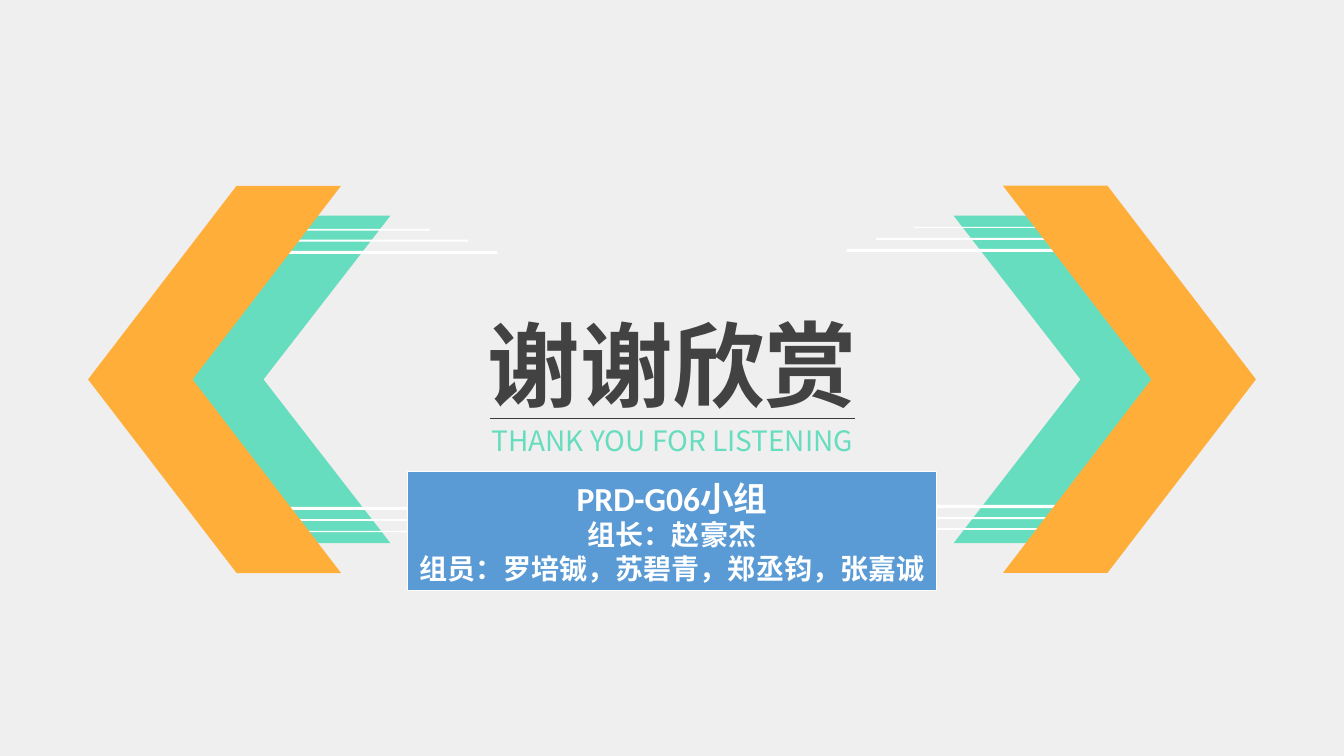
from lxml.etree import SubElement
from pptx import Presentation
from pptx.dml.color import RGBColor
from pptx.enum.shapes import MSO_CONNECTOR as Connector, MSO_SHAPE as Shape
from pptx.enum.text import MSO_ANCHOR as Anchor, MSO_AUTO_SIZE as AutoSize, PP_ALIGN as Align
from pptx.oxml.ns import qn
from pptx.util import Pt

WIDTH, HEIGHT = 960, 540
ARROWS_MIDDLE = 271
HAN_FONT = "Noto Sans CJK SC"
ORANGE, GREEN, WHITE = "FFAE39", "66DDBE", "FFFFFF"
STRIPES_END = 771.8
STRIPES = [
    (604.8, 177.8, 2.2), (625.7, 169.9, 1.4), (653, 162, 0.9),
    (604.8, 360.7, 2.2), (625.7, 369.4, 1.4), (653, 377.3, 1.2),
]


def rgb(code):
    """Turn a hex string into a colour."""
    return RGBColor.from_string(code)


def place(item, left, top, width, height):
    """Set the position and size of an item in points."""
    item.left, item.top = Pt(left), Pt(top)
    item.width, item.height = Pt(width), Pt(height)


def write(frame, lines, sizes, color, font=HAN_FONT, bold=False, wrap=True):
    """Fill a text frame with centred lines, one size for each."""
    frame.auto_size = AutoSize.NONE
    frame.word_wrap = wrap
    frame.vertical_anchor = Anchor.MIDDLE
    frame.text = "\n".join(lines)
    for paragraph, size in zip(frame.paragraphs, sizes):
        paragraph.alignment = Align.CENTER
        paragraph.space_before = Pt(0)
        for run in paragraph.runs:
            run.font.name = font
            run.font.size = Pt(size)
            run.font.bold = bold
            run.font.color.rgb = rgb(color)
            SubElement(run.font._element, qn("a:ea")).set("typeface", HAN_FONT)


def add_block(slide, kind, left, top, width, height, fill):
    """Add a filled shape without outline or shadow."""
    block = slide.shapes.add_shape(kind, Pt(left), Pt(top), Pt(width), Pt(height))
    block.shadow.inherit = False
    block.fill.solid()
    block.fill.fore_color.rgb = rgb(fill)
    block.line.fill.background()
    return block


def add_arrow_side(slide, turned):
    """Add one striped double arrow, turned half round for the left side."""
    def add_part(kind, left, top, width, height, fill):
        """Add one part of the arrow on its side."""
        if turned:
            left = WIDTH - left - width
            top = 2 * ARROWS_MIDDLE - top - height
        part = add_block(slide, kind, left, top, width, height, fill)
        part.rotation = 180 if turned else 0
        return part

    add_part(Shape.CHEVRON, 681.1, 154, 181.4, 234, GREEN)
    for left, top, thickness in STRIPES:
        add_part(Shape.RECTANGLE, left, top, STRIPES_END - left, thickness, WHITE)
    front = add_part(Shape.CHEVRON, 716.4, 132.7, 180.7, 276.6, ORANGE)
    front.adjustments[0] = 0.587


def add_rule(slide, left, right, top, color, weight):
    """Add a horizontal line without shadow."""
    rule = slide.shapes.add_connector(
        Connector.STRAIGHT, Pt(left), Pt(top), Pt(right), Pt(top))
    rule.line.color.rgb = rgb(color)
    rule.line.width = Pt(weight)
    SubElement(rule._element.spPr, qn("a:effectLst"))


def main():
    """Build the closing slide and save it."""
    deck = Presentation()
    deck.slide_width, deck.slide_height = Pt(WIDTH), Pt(HEIGHT)
    slide = deck.slides.add_slide(deck.slide_layouts[0])
    slide.background.fill.solid()
    slide.background.fill.fore_color.rgb = rgb("EFEFEF")

    thanks, english = slide.placeholders
    place(thanks, 337, 216, 286.6, 87.1)
    write(thanks.text_frame, ["谢谢欣赏"], [66], "424242", bold=True)
    add_rule(slide, 350, 610.6, 298.8, "3A3A3A", 0.5)
    place(english, 343.4, 298.8, 273.6, 31.7)
    write(english.text_frame, ["THANK YOU FOR LISTENING"], [20], GREEN)

    for turned in (False, True):
        add_arrow_side(slide, turned)

    team = add_block(slide, Shape.RECTANGLE, 291, 337, 378, 85, "5B9BD5")
    team.line.color.rgb = rgb(WHITE)
    team.line.width = Pt(0.75)
    members = ["PRD-G06小组", "组长：赵豪杰", "组员：罗培铖，苏碧青，郑丞钧，张嘉诚"]
    write(team.text_frame, members, [24, 20, 20], WHITE,
          font="Calibri", bold=True, wrap=False)
    deck.save("out.pptx")


if __name__ == "__main__":
    main()
